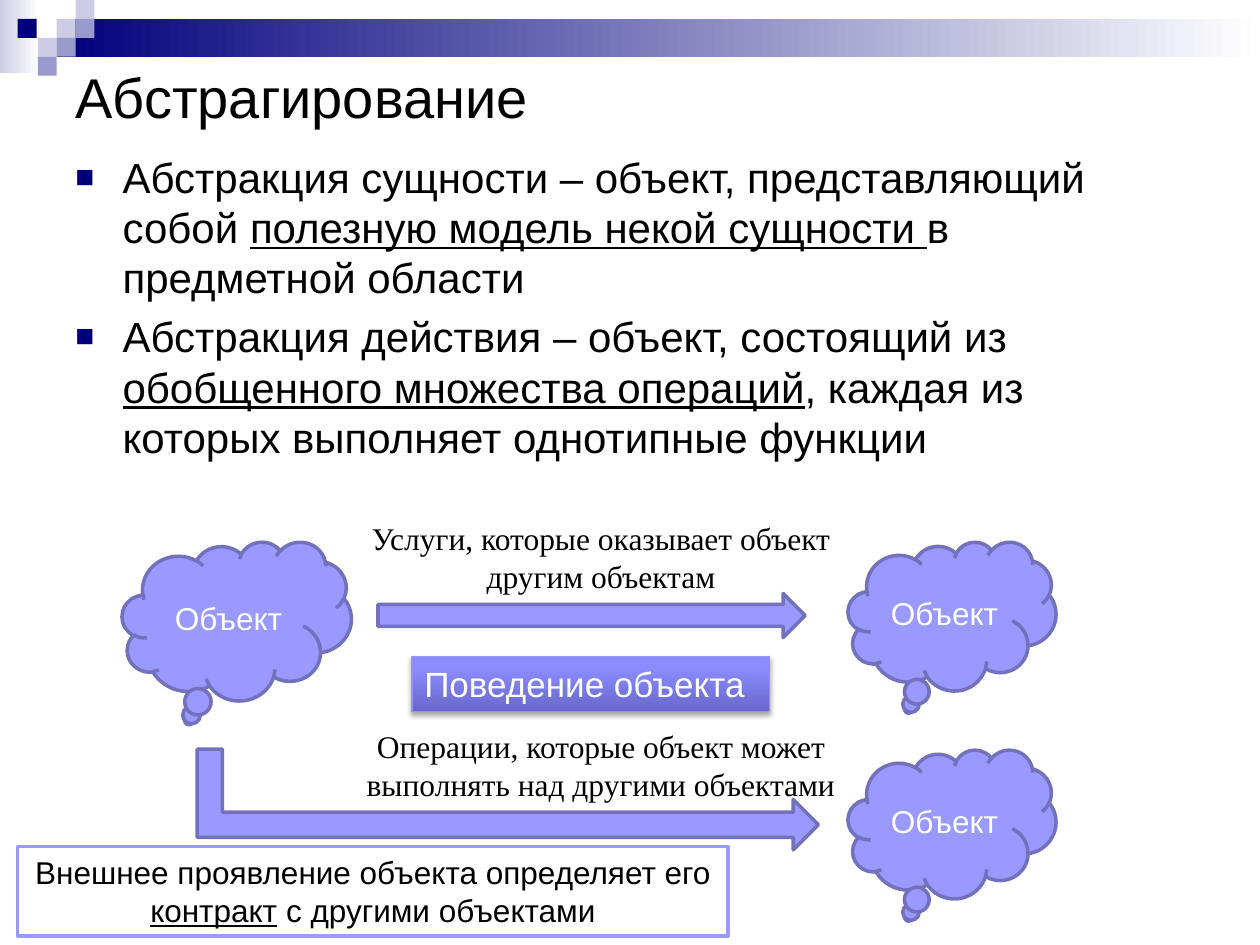
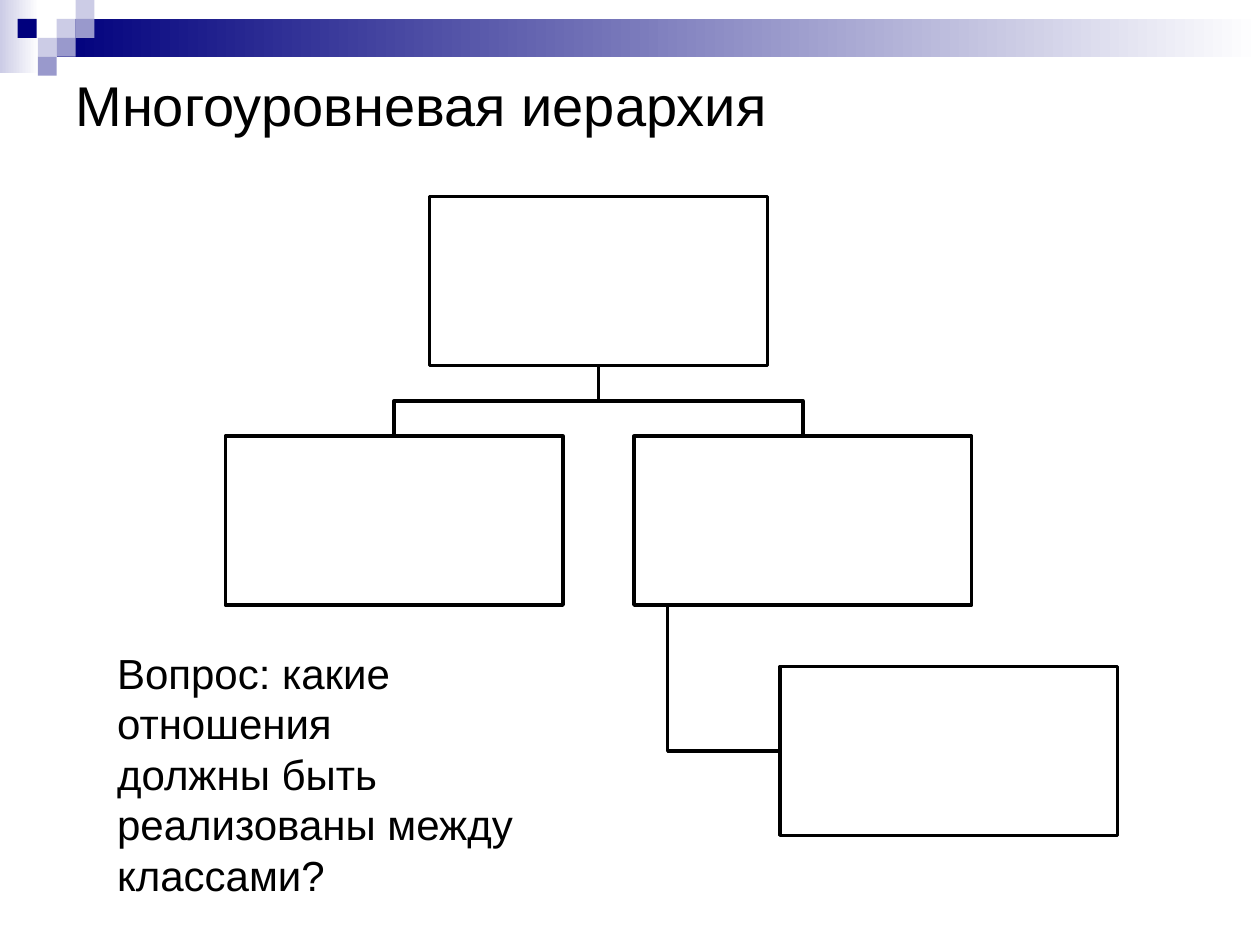
from lxml import etree
from pptx import Presentation
from pptx.dml.color import RGBColor
from pptx.enum import shapes, text
from pptx.oxml.ns import qn
from pptx.util import Pt

rgb = RGBColor.from_string
PRESET = shapes.MSO_SHAPE
LEFT, CENTER = text.PP_ALIGN.LEFT, text.PP_ALIGN.CENTER
TOP, MIDDLE = text.MSO_ANCHOR.TOP, text.MSO_ANCHOR.MIDDLE
BLACK, WHITE, NAVY = "000000", "FFFFFF", "00007D"
PALE, LILAC = "CCCCE6", "9999CC"
VIOLET, VIOLET_EDGE = "9999FF", "7171BD"


def draw(slide, preset, box, fill, line=None, width=2):
    """Add a preset shape; fill is one colour or (angle, [(position, colour), ...])."""
    shape = slide.shapes.add_shape(preset, *map(Pt, box))
    shape.shadow.inherit = False
    if isinstance(fill, str):
        shape.fill.solid()
        shape.fill.fore_color.rgb = rgb(fill)
    else:
        angle, stops = fill
        shape.fill.gradient()
        shape.fill.gradient_angle = angle
        for stop, (position, colour) in zip(shape.fill.gradient_stops, stops):
            stop.position = position
            stop.color.rgb = rgb(colour)
    if line:
        shape.line.color.rgb = rgb(line)
        shape.line.width = Pt(width)
    else:
        shape.line.fill.background()
    return shape


def write(shape, lines, size, colour=BLACK, font="Arial", align=LEFT, anchor=TOP):
    """Fill a shape with paragraphs; text between underscores is underlined."""
    frame = shape.text_frame
    frame.word_wrap = True
    frame.vertical_anchor = anchor
    for i, line in enumerate(lines):
        paragraph = frame.add_paragraph() if i else frame.paragraphs[0]
        paragraph.alignment = align
        paragraph.font.size = Pt(size)
        paragraph.font.name = font
        paragraph.font.color.rgb = rgb(colour)
        for n, piece in enumerate(line.split("_")):
            run = paragraph.add_run()
            run.text = piece
            if n % 2:
                run.font.underline = True
    return frame


deck = Presentation()
deck.slide_width, deck.slide_height = Pt(720), Pt(540)

# Shared header band, mosaic squares and title
SQUARE = 10.8
COLUMNS = [10.1, 21.6, 32.4, 43.2]
MOSAIC = [(2, 1, PALE), (3, 0, PALE), (3, 1, LILAC), (1, 2, PALE),
          (0, 1, NAVY), (2, 2, LILAC), (1, 3, LILAC)]
slides = []
for title, title_top in [("Абстрагирование", 31.7), ("Многоуровневая иерархия", 36)]:
    slide = deck.slides.add_slide(deck.slide_layouts[6])
    draw(slide, PRESET.RECTANGLE, (0, 0, 22.3, 41.8), (0, [(0, PALE), (1, WHITE)]))
    draw(slide, PRESET.RECTANGLE, (32.4, SQUARE, 687.6, 2 * SQUARE),
         (0, [(0, NAVY), (1, WHITE)]))
    for column, row, colour in MOSAIC:
        draw(slide, PRESET.RECTANGLE,
             (COLUMNS[column], row * SQUARE, SQUARE, SQUARE), colour)
    heading = slide.shapes.add_textbox(Pt(36), Pt(title_top), Pt(648), Pt(46.8))
    write(heading, [title], 32, anchor=MIDDLE)
    slides.append(slide)
abstraction, hierarchy = slides

# Slide 1: definitions
definitions = abstraction.shapes.add_textbox(Pt(36), Pt(82.8), Pt(648), Pt(187.2))
frame = write(definitions, [
    "Абстракция сущности – объект, представляющий собой "
    "_полезную модель некой сущности _в предметной области",
    "Абстракция действия – объект, состоящий из _обобщенного множества операций_, "
    "каждая из которых выполняет однотипные функции"], 24)
for paragraph in frame.paragraphs:
    paragraph.space_before = Pt(4.8)
    properties = paragraph._p.get_or_add_pPr()
    properties.set("marL", str(Pt(27)))
    properties.set("indent", str(-Pt(27)))
    bullet = [("buClr", {}), ("buSzPct", {"val": "75000"}),
              ("buFont", {"typeface": "Arial"}), ("buChar", {"char": "■"})]
    at = properties.index(properties.find(qn("a:spcBef"))) + 1
    for offset, (tag, attributes) in enumerate(bullet):
        mark = etree.Element(qn("a:" + tag), attributes)
        if tag == "buClr":
            etree.SubElement(mark, qn("a:srgbClr"), val=NAVY)
        properties.insert(at + offset, mark)

# Slide 1: interacting objects
for cloud_box in [(69.8, 309.6, 131, 90.7), (484.6, 309.6, 118.8, 85),
                  (484.6, 428.4, 118.8, 85)]:
    cloud = draw(abstraction, PRESET.CLOUD_CALLOUT, cloud_box, VIOLET, VIOLET_EDGE)
    write(cloud, ["Объект"], 18, WHITE, align=CENTER, anchor=MIDDLE)

# Slide 1: services and operations
draw(abstraction, PRESET.RIGHT_ARROW, (216, 339.1, 244.1, 25.2), VIOLET, VIOLET_EDGE)
for caption, caption_top in [
        ("Услуги, которые оказывает объект другим объектам", 293),
        ("Операции, которые объект может выполнять над другими объектами", 411.8)]:
    label = abstraction.shapes.add_textbox(Pt(201.6), Pt(caption_top), Pt(283.7), Pt(51.1))
    write(label, [caption], 18, font="Times New Roman", align=CENTER)
operations_arrow = draw(abstraction, PRESET.BENT_UP_ARROW, (261.4, 279.4, 57.6, 355),
                        VIOLET, VIOLET_EDGE)
operations_arrow.rotation = 90

# Slide 1: behaviour plate with a soft shadow
behaviour = draw(abstraction, PRESET.RECTANGLE, (235.4, 375.1, 204.5, 31.7),
                 (90, [(0, "6767CA"), (0.8, "8C8CFF")]), "9393FC", 0.75)
write(behaviour, ["Поведение объекта"], 20, WHITE)
effects = behaviour._element.spPr.find(qn("a:effectLst"))
shadow = etree.SubElement(effects, qn("a:outerShdw"), blurRad=str(Pt(3.1)),
                          dist=str(Pt(1.8)), dir="5400000", rotWithShape="0")
shade = etree.SubElement(shadow, qn("a:srgbClr"), val=BLACK)
etree.SubElement(shade, qn("a:alpha"), val="35000")

# Slide 1: contract
contract = draw(abstraction, PRESET.RECTANGLE, (10.1, 483.8, 406.1, 51.1), WHITE, VIOLET)
write(contract, ["Внешнее проявление объекта определяет его _контракт_ с другими объектами"],
      18, align=CENTER)

# Slide 2: class positions
CLASS_W, CLASS_H, GAP = 193, 96.5, 40.5
ROOT_X, ROOT_Y = 342, 112.3
root_bottom = ROOT_Y + CLASS_H
child_top = root_bottom + GAP
child_bottom = child_top + CLASS_H
child_shift = (CLASS_W + GAP) / 2
right_left = ROOT_X + GAP / 2
leaf_left, leaf_top = 445.7, 380.9

# Slide 2: inheritance lines
stem_x, leaf_y = right_left + CLASS_W / 10, leaf_top + CLASS_H / 2
branches = [[(stem_x, child_bottom), (stem_x, leaf_y), (leaf_left, leaf_y)]]
for child_x in (ROOT_X + child_shift, ROOT_X - child_shift):
    fork_y = root_bottom + GAP / 2
    branches.append([(ROOT_X, root_bottom), (ROOT_X, fork_y),
                     (child_x, fork_y), (child_x, child_top)])
for branch in branches:
    start, *bends = [(Pt(x), Pt(y)) for x, y in branch]
    builder = hierarchy.shapes.build_freeform(*start)
    builder.add_line_segments(bends, close=False)
    link = builder.convert_to_shape()
    link.shadow.inherit = False
    link.fill.background()
    link.line.color.rgb = rgb(BLACK)
    link.line.width = Pt(2)

# Slide 2: empty class boxes
for left, top in [(ROOT_X - CLASS_W / 2, ROOT_Y), (right_left - CLASS_W - GAP, child_top),
                  (right_left, child_top), (leaf_left, leaf_top)]:
    draw(hierarchy, PRESET.RECTANGLE, (left, top, CLASS_W, CLASS_H), WHITE, BLACK)

# Slide 2: question
question = hierarchy.shapes.add_textbox(Pt(59.8), Pt(366.5), Pt(272.2), Pt(152.6))
write(question, ["Вопрос: какие отношения", "должны быть реализованы между классами?"], 24)

deck.save("out.pptx")
